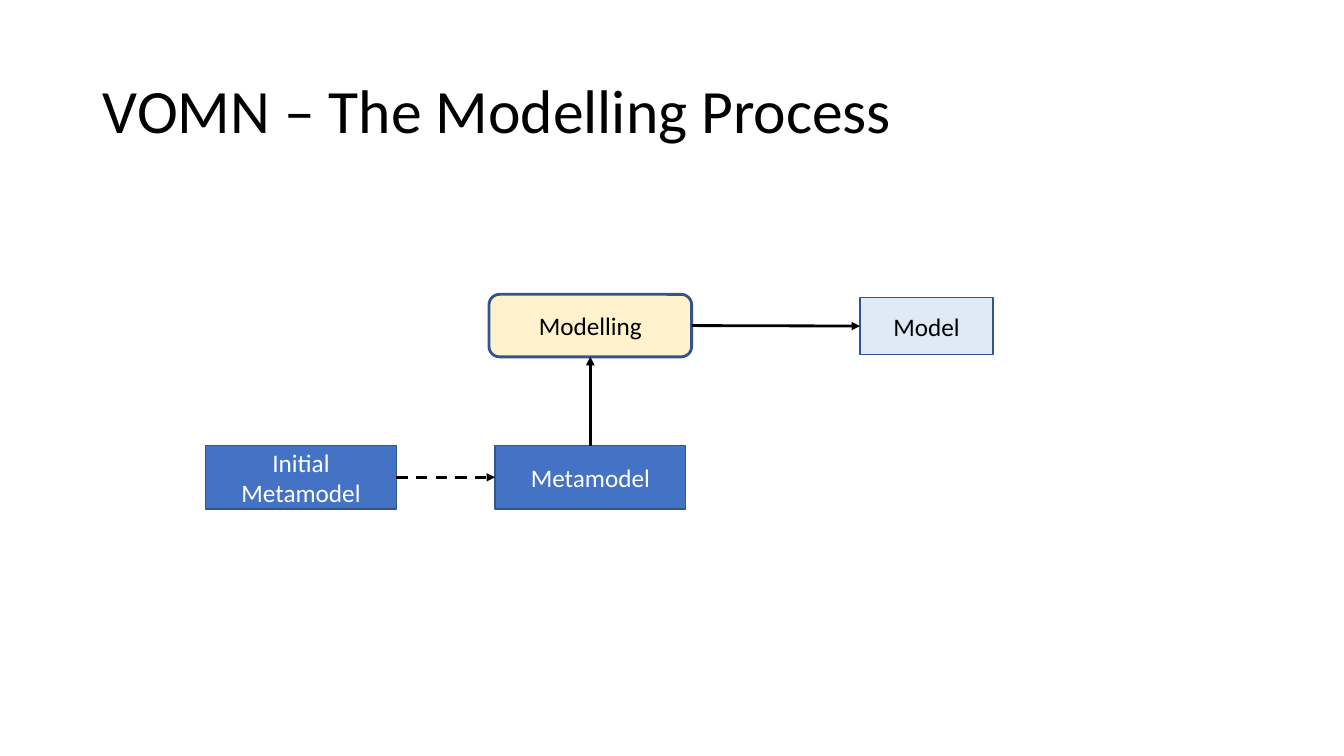
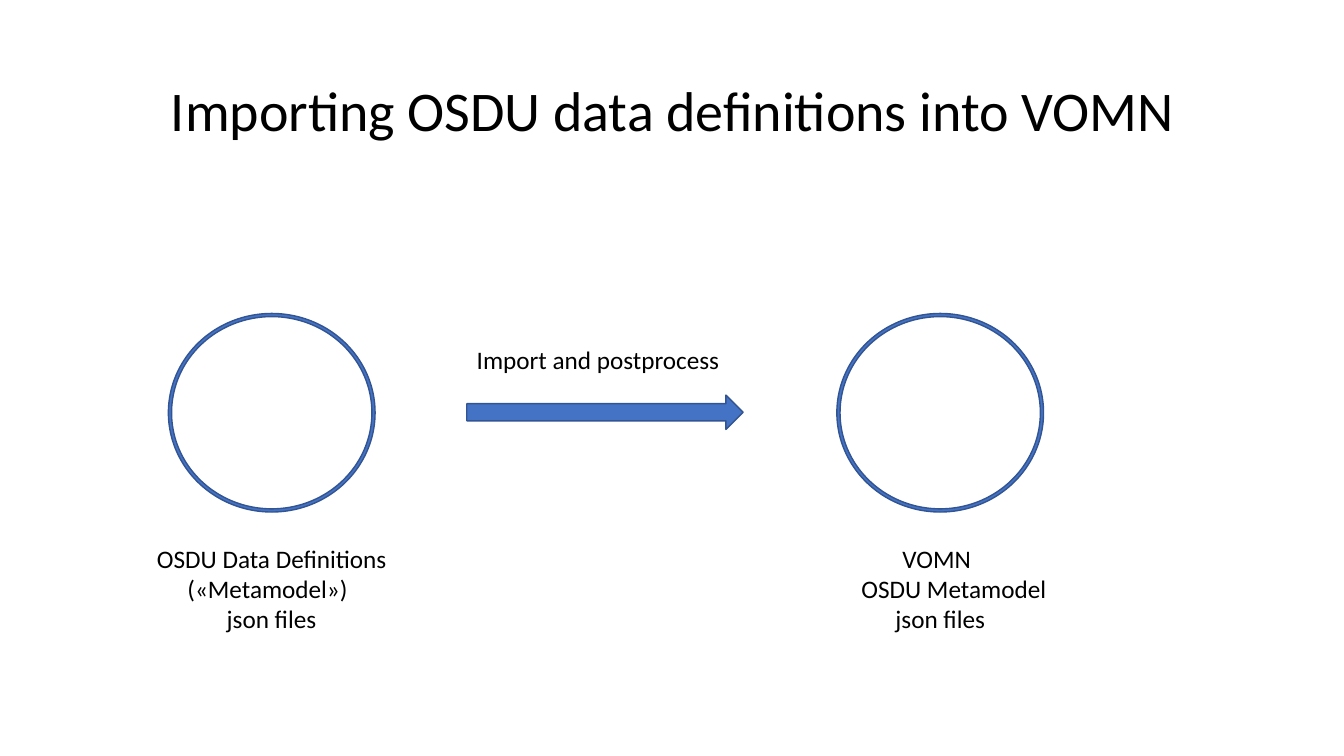
from pptx import Presentation
from pptx.dml.color import RGBColor
from pptx.enum.dml import MSO_LINE as Dash
from pptx.enum.shapes import MSO_CONNECTOR as Conn, MSO_SHAPE as Kind
from pptx.enum.text import MSO_ANCHOR as Anchor, PP_ALIGN as Align
from pptx.oxml.ns import qn
from pptx.util import Inches, Pt
from lxml.etree import SubElement

FONT = "Calibri"
BLACK = RGBColor(0x00, 0x00, 0x00)
WHITE = RGBColor(0xFF, 0xFF, 0xFF)
BLUE = RGBColor(0x44, 0x72, 0xC4)
EDGE = RGBColor(0x32, 0x54, 0x91)
CREAM = RGBColor(0xFF, 0xF2, 0xCC)
PALE = RGBColor(0xDE, 0xEB, 0xF7)

TOOL = "VOMN"

# Content: the modelling process
# label: (kind, place, fill, text colour, line width)
BOXES = {
    "Modelling": (Kind.ROUNDED_RECTANGLE, (4.85, 2.92, 2.01, 0.62), CREAM, BLACK, 2),
    "Metamodel": (Kind.RECTANGLE, (4.91, 4.42, 1.89, 0.63), BLUE, WHITE, 1),
    "Initial Metamodel": (Kind.RECTANGLE, (2.04, 4.42, 1.89, 0.63), BLUE, WHITE, 1),
    "Model": (Kind.RECTANGLE, (8.53, 2.95, 1.32, 0.57), PALE, BLACK, 1),
}
TOP, LEFT, BOTTOM, RIGHT = range(4)  # connection sites
# from, site, to, site, dashed
LINKS = [
    ("Metamodel", TOP, "Modelling", BOTTOM, False),
    ("Initial Metamodel", RIGHT, "Metamodel", LEFT, True),
    ("Modelling", RIGHT, "Model", LEFT, False),
]

# Content: the import
# left edge of label, lines of (text, alignment, left indent, right indent)
STORES = [
    (1.37, [("OSDU Data Definitions", Align.CENTER, 0, 0),
            ("(«Metamodel»)", Align.LEFT, 0.39, 0),
            ("json files", Align.LEFT, 0.78, 0)]),
    (8.0, [(TOOL, Align.CENTER, 0, 0.07),
           ("OSDU Metamodel", Align.CENTER, 0.27, 0),
           ("json files", Align.CENTER, 0, 0)]),
]


def write(frame, lines, size=18, color=BLACK, align=Align.CENTER,
          anchor=Anchor.MIDDLE, space=None):
    """Fill a frame; a line is text, or (text, alignment, left, right)."""
    frame.word_wrap = True
    frame.vertical_anchor = anchor
    for i, line in enumerate(lines):
        text, side, left, right = (line, align, 0, 0) if isinstance(line, str) else line
        para = frame.paragraphs[0] if i == 0 else frame.add_paragraph()
        para.alignment = side
        if space:
            para.line_spacing = space
        props = para._p.get_or_add_pPr()
        for key, gap in (("marL", left), ("marR", right)):
            props.set(key, str(Inches(gap)))
        run = para.add_run()
        run.text = text
        run.font.name, run.font.size = FONT, Pt(size)
        run.font.color.rgb = color


def new_slide(deck, title, size, align):
    slide = deck.slides.add_slide(deck.slide_layouts[5])
    head = slide.shapes.title
    head.left, head.top, head.width, head.height = map(Inches, (0.92, 0.4, 11.5, 1.45))
    write(head.text_frame, [title], size=size, align=align, space=0.9)
    return slide


def add_part(shapes, kind, place, fill=BLUE, width=1):
    part = shapes.add_shape(kind, *map(Inches, place))
    part.shadow.inherit = False
    part.fill.solid()
    part.fill.fore_color.rgb = fill
    part.line.color.rgb = EDGE
    part.line.width = Pt(width)
    return part


def add_label(shapes, place, lines, **style):
    box = shapes.add_textbox(*map(Inches, place))
    write(box.text_frame, lines, anchor=Anchor.TOP, **style)


def add_link(shapes, start, out, end, into, dashed):
    link = shapes.add_connector(Conn.STRAIGHT, 0, 0, 0, 0)
    link.begin_connect(start, out)
    link.end_connect(end, into)
    link.line.color.rgb = BLACK
    link.line.width = Pt(2)
    if dashed:
        link.line.dash_style = Dash.DASH
    SubElement(link.line._get_or_add_ln(), qn("a:tailEnd"), type="triangle")
    SubElement(link._element.spPr, qn("a:effectLst"))


def process(deck):
    shapes = new_slide(deck, f"{TOOL} – The Modelling Process", 44, Align.LEFT).shapes
    parts = {}
    for name, (kind, place, fill, color, width) in BOXES.items():
        parts[name] = add_part(shapes, kind, place, fill, width)
        write(parts[name].text_frame, [name], color=color)
    for start, out, end, into, dashed in LINKS:
        add_link(shapes, parts[start], out, parts[end], into, dashed)


def transfer(deck):
    shapes = new_slide(deck, f"Importing OSDU data definitions into {TOOL}",
                       40, Align.CENTER).shapes
    # Rings, each grouped with its label
    for left, lines in STORES:
        group = shapes.add_group_shape().shapes
        ring = add_part(group, Kind.DONUT, (left + 0.3, 3.11, 2.05, 1.97))
        ring.adjustments[0] = 0.016
        add_label(group, (left, 5.34, 2.65, 1.01), lines)
    # Arrow between them
    add_part(shapes, Kind.RIGHT_ARROW, (4.63, 3.92, 2.74, 0.34))
    add_label(shapes, (4.63, 3.37, 2.61, 0.4), ["Import and postprocess"],
              align=Align.LEFT)


def main():
    deck = Presentation()
    deck.slide_width, deck.slide_height = Inches(13.33), Inches(7.5)
    process(deck)
    transfer(deck)
    deck.save("out.pptx")


if __name__ == "__main__":
    main()
